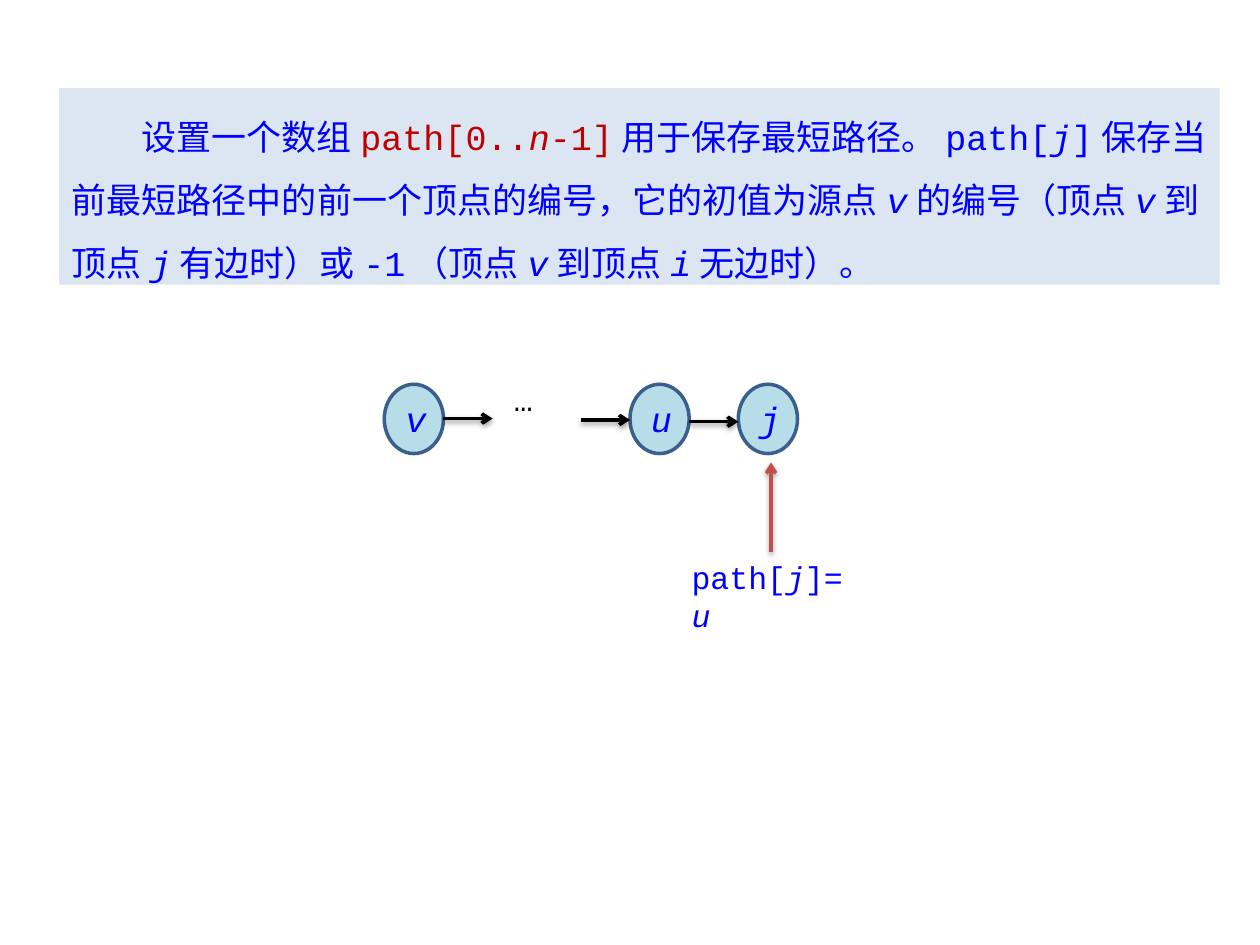
from lxml.etree import SubElement
from pptx import Presentation
from pptx.dml.color import RGBColor
from pptx.enum.shapes import MSO_CONNECTOR, MSO_SHAPE
from pptx.enum.text import MSO_ANCHOR, MSO_AUTO_SIZE, PP_ALIGN
from pptx.oxml import parse_xml
from pptx.oxml.ns import nsdecls, qn
from pptx.util import Pt

BLUE = RGBColor(0x00, 0x00, 0xFF)
RED = RGBColor(0xC0, 0x00, 0x00)
BLACK = RGBColor(0x00, 0x00, 0x00)
PALE_BLUE = RGBColor(0xDC, 0xE6, 0xF2)
NODE_FILL = RGBColor(0xB7, 0xDE, 0xE8)
NODE_LINE = RGBColor(0x3A, 0x5F, 0x8C)
POINTER_RED = RGBColor(0xC0, 0x50, 0x4D)

FONT = "Courier New"
NODE_TOP, NODE_WIDTH, NODE_HEIGHT = 219.6, 33.84, 39.6
NODES = {"v": 219.6, "u": 360, "j": 421.92}
ARROW_LENGTH = 28.08

EXPLANATION = [
    ("设置一个数组", BLUE),
    ("path[0..*n*-1]", RED),
    ("用于保存最短路径。path[*j*]保存当前最短路径中的前一个顶点的编号，"
     "它的初值为源点*v*的编号（顶点*v*到顶点*j*有边时）或-1（顶点*v*到顶点*i*无边时）。", BLUE),
]

SHADOW = (
    f'<a:effectLst {nsdecls("a")}>'
    '<a:outerShdw blurRad="39370" dist="20320" dir="5400000" rotWithShape="0">'
    '<a:srgbClr val="000000"><a:alpha val="38000"/></a:srgbClr>'
    '</a:outerShdw></a:effectLst>'
)


def set_attributes(target, values):
    for name, value in values.items():
        setattr(target, name, value)


def add_marked_text(paragraph, text, size, color):
    """Add runs; the pieces between asterisks are italic."""
    for index, piece in enumerate(text.split("*")):
        if piece:
            run = paragraph.add_run()
            run.text = piece
            set_attributes(run.font, {"name": FONT, "size": Pt(size), "italic": index % 2 == 1})
            run.font.color.rgb = color


def add_explanation(shapes):
    panel = shapes.add_shape(MSO_SHAPE.RECTANGLE, Pt(33.84), Pt(50.4), Pt(663.12), Pt(112.32))
    panel.shadow.inherit = False
    panel.fill.solid()
    panel.fill.fore_color.rgb = PALE_BLUE
    panel.line.fill.background()
    set_attributes(panel.text_frame, {
        "word_wrap": True,
        "auto_size": MSO_AUTO_SIZE.SHAPE_TO_FIT_TEXT,
        "vertical_anchor": MSO_ANCHOR.TOP,
    })
    paragraph = panel.text_frame.paragraphs[0]
    set_attributes(paragraph, {"alignment": PP_ALIGN.LEFT, "line_spacing": 1.5})
    # First line indented by two characters
    paragraph._p.get_or_add_pPr().set("indent", str(Pt(40)))
    for text, color in EXPLANATION:
        add_marked_text(paragraph, text, 20, color)


def add_node(shapes, name, left):
    node = shapes.add_shape(MSO_SHAPE.OVAL, Pt(left), Pt(NODE_TOP), Pt(NODE_WIDTH), Pt(NODE_HEIGHT))
    node.shadow.inherit = False
    node.fill.solid()
    node.fill.fore_color.rgb = NODE_FILL
    node.line.color.rgb = NODE_LINE
    node.line.width = Pt(2)
    node.text_frame.vertical_anchor = MSO_ANCHOR.MIDDLE
    paragraph = node.text_frame.paragraphs[0]
    paragraph.alignment = PP_ALIGN.CENTER
    add_marked_text(paragraph, f"*{name}*", 20, BLUE)


def add_arrow(shapes, start, end, color):
    arrow = shapes.add_connector(MSO_CONNECTOR.STRAIGHT, *map(Pt, start + end))
    arrow.line.color.rgb = color
    arrow.line.width = Pt(2)
    SubElement(arrow.line._get_or_add_ln(), qn("a:tailEnd"), type="arrow")
    arrow._element.spPr.append(parse_xml(SHADOW))


def add_label(shapes, text, box, color):
    label = shapes.add_textbox(*map(Pt, box))
    set_attributes(label.text_frame, {
        "word_wrap": True,
        "auto_size": MSO_AUTO_SIZE.SHAPE_TO_FIT_TEXT,
    })
    add_marked_text(label.text_frame.paragraphs[0], text, 18, color)


def main():
    presentation = Presentation()
    set_attributes(presentation, {"slide_width": Pt(720), "slide_height": Pt(540)})
    slide = presentation.slides.add_slide(presentation.slide_layouts[6])

    add_explanation(slide.shapes)

    # Shortest path from v through u to j
    chain = slide.shapes.add_group_shape().shapes
    for name, left in NODES.items():
        add_node(chain, name, left)
    arrow_starts = [
        (NODES["v"] + NODE_WIDTH, 239.2),
        (NODES["u"] - ARROW_LENGTH, 240),
        (NODES["u"] + NODE_WIDTH, 241),
    ]
    for left, y in arrow_starts:
        add_arrow(chain, (left, y), (left + ARROW_LENGTH, y), BLACK)
    add_label(chain, "…", (286.56, 213.84, 45.36, 36), BLACK)

    # Value stored for j
    pointer = slide.shapes.add_group_shape().shapes
    add_label(pointer, "path[*j*]=*u*", (388.08, 315.36, 106.56, 28.8), BLUE)
    add_arrow(pointer, (440.64, 315.36), (440.64, 264.24), POINTER_RED)

    presentation.save("out.pptx")


if __name__ == "__main__":
    main()
